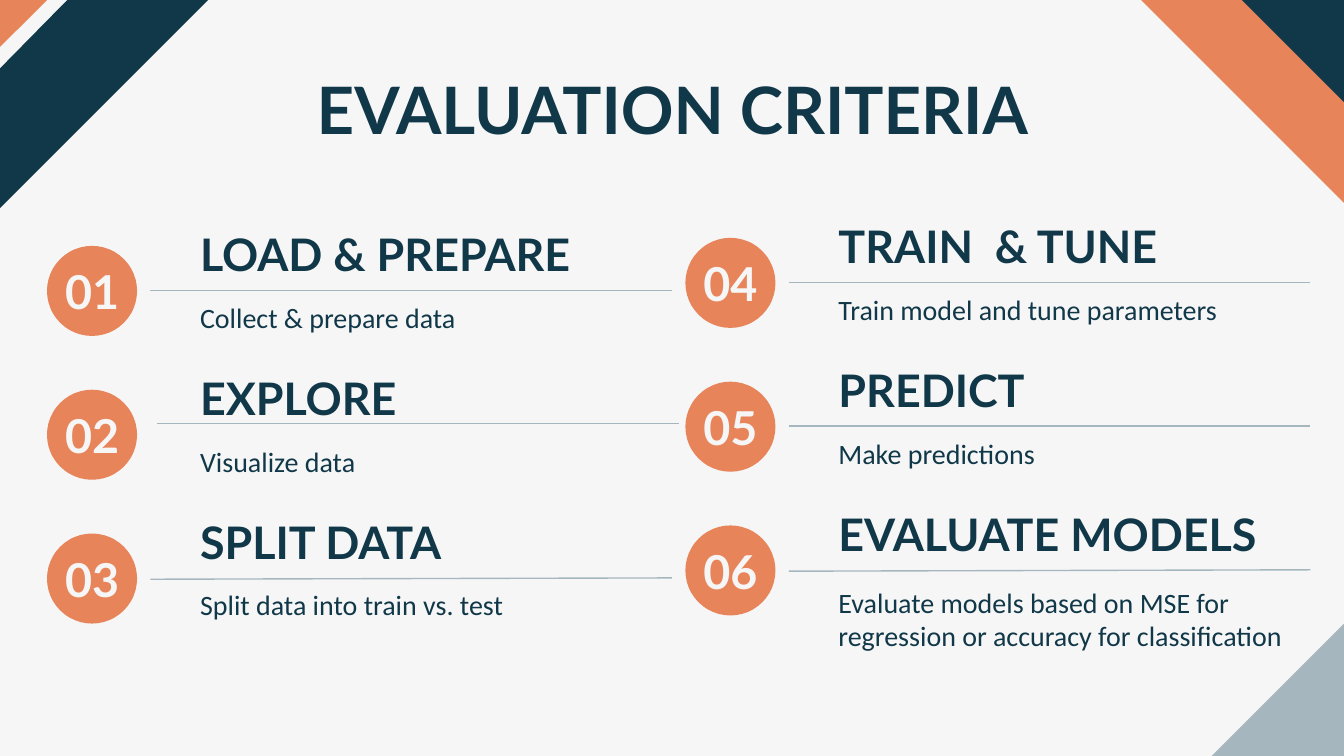
import pptx
import pptx.dml.color
import pptx.enum.shapes
import pptx.enum.text
import pptx.oxml.ns
import pptx.util
import lxml.etree

Inches = pptx.util.Inches
NAVY, ORANGE, GREY, PALE = "113849", "E8845A", "A6B6BE", "F6F6F6"
LEFT = pptx.enum.text.PP_ALIGN.LEFT
CENTER = pptx.enum.text.PP_ALIGN.CENTER


def paint(color_owner, color):
    """Set a solid colour on a fill, or a colour on a font or line."""
    if hasattr(color_owner, "solid"):
        color_owner.solid()
        color_owner.fore_color.rgb = pptx.dml.color.RGBColor.from_string(color)
    else:
        color_owner.color.rgb = pptx.dml.color.RGBColor.from_string(color)


def add_text(page, text, position, align, color, font):
    box = page.shapes.add_textbox(*[Inches(length) for length in position])
    frame_format = {
        "word_wrap": True,
        "vertical_anchor": pptx.enum.text.MSO_ANCHOR.MIDDLE,
        "margin_left": Inches(0.1),
        "margin_top": Inches(0.1),
        "margin_right": Inches(0.1),
        "margin_bottom": Inches(0.1),
    }
    for name, value in frame_format.items():
        setattr(box.text_frame, name, value)
    para = box.text_frame.paragraphs[0]
    para.alignment = align
    span = para.add_run()
    span.text = text
    for name, value in font.items():
        setattr(span.font, name, value)
    paint(span.font, color)


# Widescreen page, 16:9
deck = pptx.Presentation()
deck.slide_width = Inches(10)
deck.slide_height = Inches(10 * 9 / 16)
page = deck.slides.add_slide(deck.slide_layouts[6])
paint(page.background.fill, PALE)

# Corner decorations
corners = [
    (NAVY, [(1.62, -0.07), (-0.02, 1.57), (-0.59, 1), (-0.59, -0.04),
            (-0.02, 0.53), (0.57, -0.07)]),
    (ORANGE, [(0.56, -0.21), (-0.02, 0.37), (-0.59, -0.21)]),
    (ORANGE, [(11.78, -0.17), (8.32, -0.17), (10.05, 1.56)]),
    (NAVY, [(11.05, -0.19), (9.05, -0.19), (10.05, 0.81)]),
    (GREY, [(11.31, 5.85), (10.05, 4.59), (8.79, 5.85)]),
]
for color, points in corners:
    points = [(Inches(x), Inches(y)) for x, y in points]
    builder = page.shapes.build_freeform(*points[0])
    builder.add_line_segments(points[1:], close=True)
    corner = builder.convert_to_shape()
    corner.shadow.inherit = False
    paint(corner.fill, color)
    corner.line.fill.background()

# Text styles
title_font = {"name": "Lato", "size": pptx.util.Pt(35), "bold": True}
heading_font = {"name": "Lato", "size": pptx.util.Pt(24), "bold": True}
number_font = {"name": "Lato", "size": pptx.util.Pt(25), "bold": True}
detail_font = {"name": "Calibri", "size": pptx.util.Pt(15), "bold": False}

# Title
add_text(page, "EVALUATION CRITERIA", (0.79, 0.49, 8.43, 0.63), CENTER, NAVY, title_font)

# Steps: heading, detail, detail height, rule start x, rule start y, rule end y
steps = [
    ("LOAD & PREPARE", "Collect & prepare data", 0.34, 1.12, 2.16, 2.16),
    ("EXPLORE", "Visualize data", 0.34, 1.17, 3.15, 3.15),
    ("SPLIT DATA", "Split data into train vs. test", 0.34, 1.12, 4.31, 4.3),
    ("TRAIN  & TUNE", "Train model and tune parameters", 0.34, 5.87, 2.1, 2.1),
    ("PREDICT", "Make predictions", 0.34, 5.87, 3.17, 3.17),
    ("EVALUATE MODELS",
     "Evaluate models based on MSE for regression or accuracy for classification",
     0.67, 5.87, 4.25, 4.24),
]
for index, (heading, detail, detail_height, rule_x, rule_start, rule_end) in enumerate(steps):
    column, row = divmod(index, 3)
    left = 0.25 + 4.75 * column
    top = 1.63 - 0.06 * column + 1.07 * row

    # Heading and detail
    add_text(page, heading, (left + 1.14, top, 3.52, 0.52), LEFT, NAVY, heading_font)
    add_text(page, detail, (left + 1.14, top + 0.56, 3.52, detail_height), LEFT, NAVY,
             detail_font)

    # Rule between them
    rule = page.shapes.add_connector(
        pptx.enum.shapes.MSO_CONNECTOR.STRAIGHT,
        Inches(rule_x), Inches(rule_start), Inches(rule_x + 3.88), Inches(rule_end))
    paint(rule.line, GREY)
    rule.line.width = pptx.util.Pt(0.75)
    lxml.etree.SubElement(rule._element.spPr, pptx.oxml.ns.qn("a:effectLst"))

    # Numbered circle
    circle = page.shapes.add_shape(
        pptx.enum.shapes.MSO_SHAPE.OVAL,
        Inches(left + 0.1), Inches(top + 0.2), Inches(0.67), Inches(0.67))
    circle.shadow.inherit = False
    paint(circle.fill, ORANGE)
    circle.line.fill.background()
    add_text(page, f"{index + 1:02}", (left, top + 0.33, 0.87, 0.41), CENTER, PALE,
             number_font)

deck.save("out.pptx")
